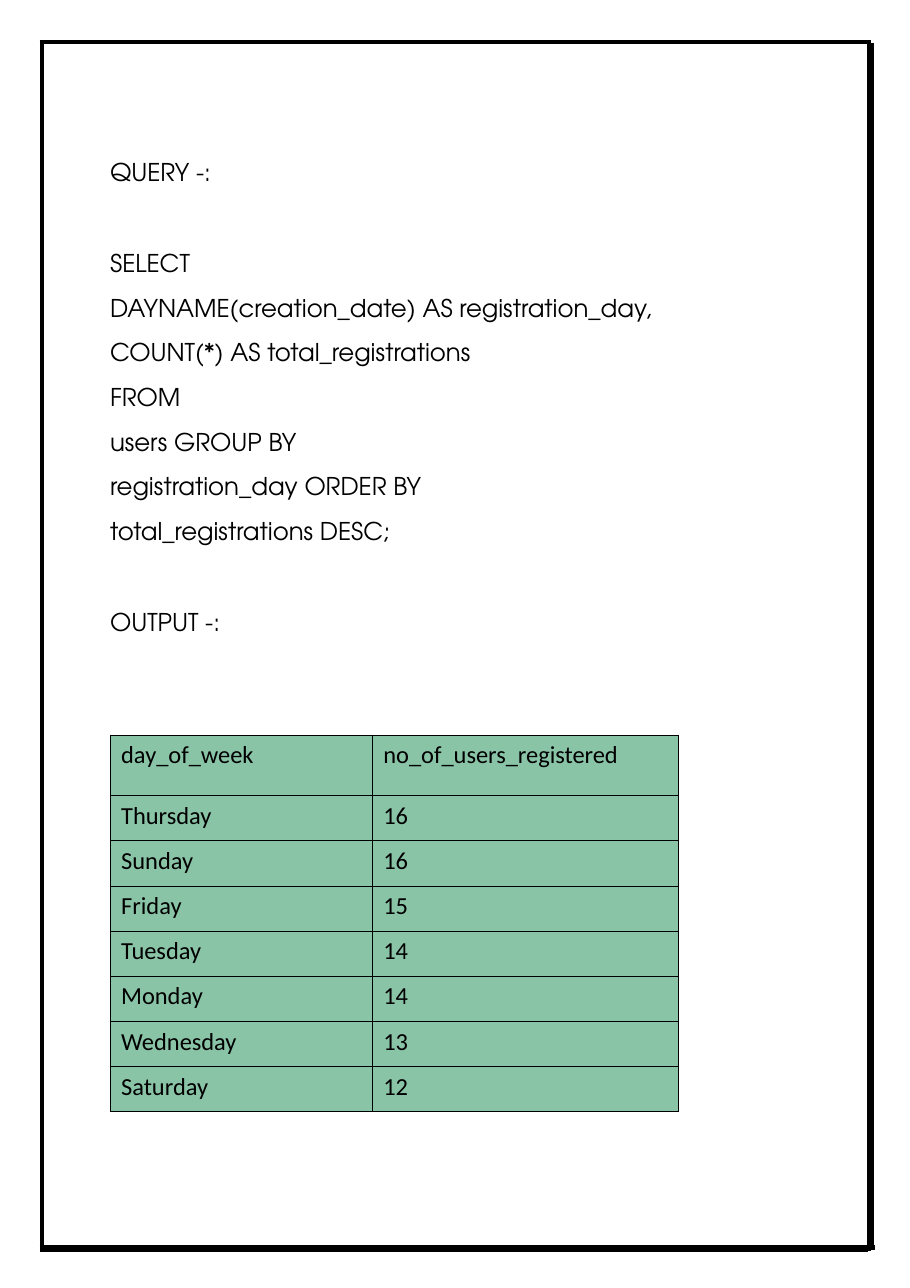
from dataclasses import dataclass

from lxml import etree
from pptx import Presentation
from pptx.dml.color import RGBColor
from pptx.enum.shapes import MSO_CONNECTOR
from pptx.oxml.ns import qn
from pptx.util import Inches, Pt

STRAIGHT = MSO_CONNECTOR.STRAIGHT


@dataclass(frozen=True)
class Theme:
    ink: RGBColor = RGBColor(0x00, 0x00, 0x00)
    cell: RGBColor = RGBColor(0x8A, 0xC4, 0xA7)
    query_font: str = "TeX Gyre Adventor"
    table_font: str = "Calibri"
    text_size: float = 16
    thin: float = 2.27
    medium: float = 3.34
    thick: float = 4.42
    grid: float = 0.28


THEME = Theme()
LOOSE = 1.52      # line spacing of the wrapped query lines
SECTION_GAP = 40  # points before a new section

# text, line spacing, points before
QUERY_LINES = [
    ("QUERY -:", 1, 0),
    ("SELECT", 1, SECTION_GAP),
    ("DAYNAME(creation_date) AS registration_day, COUNT(*) AS total_registrations", LOOSE, 0),
    ("FROM", 1, 10),
    ("users GROUP BY", LOOSE, 0),
    ("registration_day ORDER BY", LOOSE, 0),
    ("total_registrations DESC;", 1, 10),
    ("OUTPUT -:", 1, SECTION_GAP),
]

# start x, start y, end x, end y, weight
PAGE_BORDER = [
    (0.36, 0.38, 7.91, 0.38, THEME.thin),
    (0.38, 0.39, 0.38, 11.3, THEME.thin),
    (7.92, 0.39, 7.92, 11.3, THEME.thin),
    (7.89, 0.39, 7.89, 11.35, THEME.thin),
    (0.36, 11.33, 7.88, 11.33, THEME.thick),
    (0.39, 11.32, 7.94, 11.32, THEME.medium),
    (7.88, 11.33, 7.87, 11.33, THEME.thick),
]

REGISTRATIONS = [
    ("day_of_week", "no_of_users_registered"),
    ("Thursday", "16"),
    ("Sunday", "16"),
    ("Friday", "15"),
    ("Tuesday", "14"),
    ("Monday", "14"),
    ("Wednesday", "13"),
    ("Saturday", "12"),
]
COLUMN_WIDTHS = (2.38, 2.78)
HEADER_HEIGHT, ROW_HEIGHT = 0.55, 0.41


def style_text(paragraph, font_name):
    paragraph.font.name = font_name
    paragraph.font.size = Pt(THEME.text_size)
    paragraph.font.color.rgb = THEME.ink


def add_query(slide):
    query = slide.shapes.add_textbox(Inches(0.99), Inches(1.43), Inches(5.27), Inches(4.37)).text_frame
    query.word_wrap = True
    query.margin_left = Inches(0.01)
    query.margin_top = query.margin_right = query.margin_bottom = 0
    for index, (text, spacing, before) in enumerate(QUERY_LINES):
        line = query.add_paragraph() if index else query.paragraphs[0]
        line.text = text
        line.line_spacing = spacing
        if before:
            line.space_before = Pt(before)
        style_text(line, THEME.query_font)


def add_rule(slide, x1, y1, x2, y2, weight):
    rule = slide.shapes.add_connector(STRAIGHT, Inches(x1), Inches(y1), Inches(x2), Inches(y2))
    rule.line.color.rgb = THEME.ink
    rule.line.width = Pt(weight)
    etree.SubElement(rule._element.spPr, qn("a:effectLst"))


def add_cell_borders(cell):
    properties = cell._tc.get_or_add_tcPr()
    for side in ("a:lnL", "a:lnR", "a:lnT", "a:lnB"):
        border = etree.SubElement(properties, qn(side), w=str(Pt(THEME.grid)))
        fill = etree.SubElement(border, qn("a:solidFill"))
        etree.SubElement(fill, qn("a:srgbClr"), val=str(THEME.ink))


def add_registrations(slide):
    height = HEADER_HEIGHT + ROW_HEIGHT * (len(REGISTRATIONS) - 1)
    table = slide.shapes.add_table(
        len(REGISTRATIONS), len(COLUMN_WIDTHS),
        Inches(1), Inches(6.67), Inches(sum(COLUMN_WIDTHS)), Inches(height),
    ).table
    table.first_row = table.horz_banding = False
    for column, width in zip(table.columns, COLUMN_WIDTHS):
        column.width = Inches(width)
    for index, values in enumerate(REGISTRATIONS):
        table.rows[index].height = Inches(ROW_HEIGHT if index else HEADER_HEIGHT)
        for cell, value in zip(table.rows[index].cells, values):
            cell.text = value
            style_text(cell.text_frame.paragraphs[0], THEME.table_font)
            add_cell_borders(cell)
            cell.fill.solid()
            cell.fill.fore_color.rgb = THEME.cell


def main():
    deck = Presentation()
    deck.slide_width, deck.slide_height = Inches(8.26), Inches(11.69)
    slide = deck.slides.add_slide(deck.slide_layouts[6])

    # Query text
    add_query(slide)

    # Page border with heavier right and bottom edges
    for rule in PAGE_BORDER:
        add_rule(slide, *rule)

    # Query output
    add_registrations(slide)

    deck.save("out.pptx")


if __name__ == "__main__":
    main()
